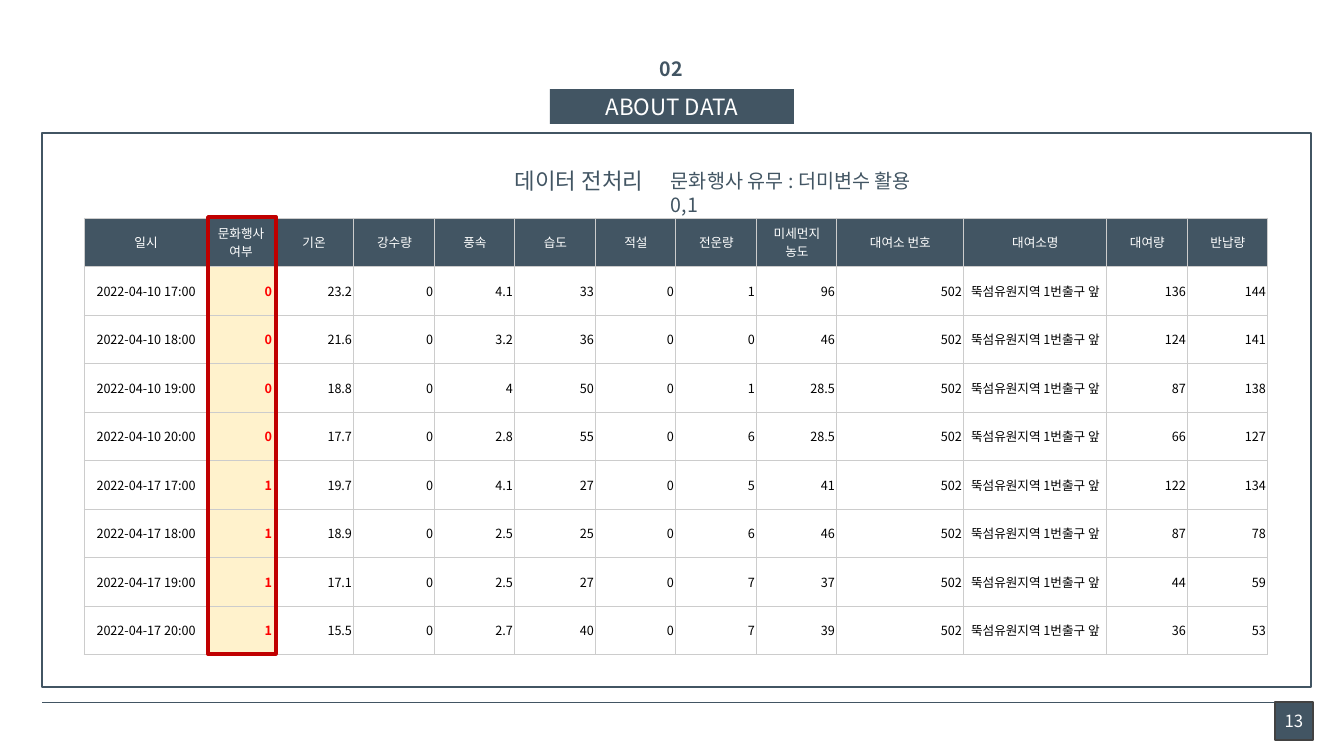
from lxml.etree import SubElement
from pptx import Presentation
from pptx.dml.color import RGBColor
from pptx.enum.shapes import MSO_CONNECTOR, MSO_SHAPE
from pptx.enum.text import MSO_ANCHOR as Anchor, MSO_AUTO_SIZE as AutoSize, PP_ALIGN as Align
from pptx.oxml.ns import qn
from pptx.util import Pt

FONT = "Noto Sans CJK KR"
SLATE = RGBColor(0x42, 0x55, 0x63)
CHARCOAL = RGBColor(0x42, 0x42, 0x42)
GRID = RGBColor(0xCC, 0xCC, 0xCC)
CREAM = RGBColor(0xFF, 0xF2, 0xCC)
RED = RGBColor(0xFF, 0x00, 0x00)
DARK_RED = RGBColor(0xC0, 0x00, 0x00)
WHITE = RGBColor(0xFF, 0xFF, 0xFF)
BLACK = RGBColor(0x00, 0x00, 0x00)

TITLE = "ABOUT DATA"
PAGE_NUMBER = "13"
LABELS = [
    ("02", (527, 52, 288, 34), 14, Align.CENTER, True),
    ("데이터 전처리", (505, 162, 177, 38), 16, Align.LEFT, False),
    ("문화행사 유무 : 더미변수 활용 0,1", (661, 164, 286, 34), 14, Align.LEFT, False),
]
HEADERS = ["일시", "문화행사\n여부", "기온", "강수량", "풍속", "습도", "적설", "전운량",
           "미세먼지\n농도", "대여소 번호", "대여소명", "대여량", "반납량"]
STATION = ("502", "뚝섬유원지역 1번출구 앞")
READINGS = [
    ("2022-04-10 17:00", "0", "23.2", "0", "4.1", "33", "0", "1", "96", *STATION, "136", "144"),
    ("2022-04-10 18:00", "0", "21.6", "0", "3.2", "36", "0", "0", "46", *STATION, "124", "141"),
    ("2022-04-10 19:00", "0", "18.8", "0", "4", "50", "0", "1", "28.5", *STATION, "87", "138"),
    ("2022-04-10 20:00", "0", "17.7", "0", "2.8", "55", "0", "6", "28.5", *STATION, "66", "127"),
    ("2022-04-17 17:00", "1", "19.7", "0", "4.1", "27", "0", "5", "41", *STATION, "122", "134"),
    ("2022-04-17 18:00", "1", "18.9", "0", "2.5", "25", "0", "6", "46", *STATION, "87", "78"),
    ("2022-04-17 19:00", "1", "17.1", "0", "2.5", "27", "0", "7", "37", *STATION, "44", "59"),
    ("2022-04-17 20:00", "1", "15.5", "0", "2.7", "40", "0", "7", "39", *STATION, "36", "53"),
]
COLUMN_EDGES = [84, 208, 274, 354, 435, 515, 596, 676, 757, 837, 964, 1107, 1188, 1268]
TABLE_TOP, TABLE_HEIGHT = 218, 437
EVENT_COLUMN = 1
CENTERED_COLUMNS = (0, HEADERS.index("대여소명"))


def px(length):
    """Turn slide pixels into EMU."""
    return round(length * 914400 / 100.8)


def write(text_frame, text, size, color, align=Align.CENTER, bold=False):
    """Put uniformly formatted text into a frame."""
    text_frame.text = text
    for paragraph in text_frame.paragraphs:
        paragraph.alignment = align
        font = paragraph.font
        font.name, font.size, font.bold = FONT, Pt(size), bold
        font.color.rgb = color
        defaults = paragraph._p.pPr.find(qn("a:defRPr"))
        SubElement(defaults, qn("a:ea"), typeface=FONT)


def add_box(slide, box, fill=None, line=None, width=1):
    """Add a rectangle with an optional fill and outline."""
    shape = slide.shapes.add_shape(MSO_SHAPE.RECTANGLE, *map(px, box))
    shape.shadow.inherit = False
    if fill is None:
        shape.fill.background()
    else:
        shape.fill.solid()
        shape.fill.fore_color.rgb = fill
    shape.line.color.rgb = line
    shape.line.width = Pt(width)
    return shape


def add_title(slide):
    """Format the title placeholder as a filled banner."""
    title = slide.shapes.title
    title.left, title.top, title.width, title.height = map(px, (550, 89, 244, 35))
    title.fill.solid()
    title.fill.fore_color.rgb = SLATE
    title.text_frame.auto_size = AutoSize.NONE
    title.text_frame.vertical_anchor = Anchor.MIDDLE
    write(title.text_frame, TITLE, 16, WHITE)


def add_label(slide, text, box, size, align, bold):
    """Add a wrapped text box."""
    text_frame = slide.shapes.add_textbox(*map(px, box)).text_frame
    text_frame.word_wrap = True
    write(text_frame, text, size, SLATE, align, bold)


def cell_style(row, column):
    """Return fill, text colour, alignment and weight for a cell."""
    if row == 0:
        return SLATE, WHITE, Align.CENTER, False
    if column == EVENT_COLUMN:
        return CREAM, RED, Align.RIGHT, True
    align = Align.CENTER if column in CENTERED_COLUMNS else Align.RIGHT
    return WHITE, BLACK, align, False


def add_borders(cell):
    """Draw a thin grid line on every side of a cell."""
    properties = cell._tc.get_or_add_tcPr()
    for side in ("lnL", "lnR", "lnT", "lnB"):
        border = SubElement(properties, qn(f"a:{side}"), w=str(Pt(0.75)))
        fill = SubElement(border, qn("a:solidFill"))
        SubElement(fill, qn("a:srgbClr"), val=str(GRID))


def add_readings_table(slide):
    """Add the table of weather and rental readings."""
    rows = [HEADERS, *READINGS]
    left, right = COLUMN_EDGES[0], COLUMN_EDGES[-1]
    box = (left, TABLE_TOP, right - left, TABLE_HEIGHT)
    table = slide.shapes.add_table(len(rows), len(HEADERS), *map(px, box)).table
    for column, start, end in zip(table.columns, COLUMN_EDGES, COLUMN_EDGES[1:]):
        column.width = px(end - start)
    for row, values in enumerate(rows):
        for column, value in enumerate(values):
            cell = table.cell(row, column)
            fill, color, align, bold = cell_style(row, column)
            add_borders(cell)
            cell.fill.solid()
            cell.fill.fore_color.rgb = fill
            cell.vertical_anchor = Anchor.MIDDLE
            cell.margin_left = cell.margin_right = px(2)
            cell.margin_top = cell.margin_bottom = px(2)
            write(cell.text_frame, value, 9, color, align, bold)


def main():
    """Build and save the slide."""
    presentation = Presentation()
    presentation.slide_width, presentation.slide_height = px(1344), px(756)
    slide = presentation.slides.add_slide(presentation.slide_layouts[5])
    add_title(slide)
    footer_line = slide.shapes.add_connector(
        MSO_CONNECTOR.STRAIGHT, *map(px, (1311, 702, 42, 702)))
    footer_line.line.color.rgb = SLATE
    footer_line.line.width = Pt(0.5)
    SubElement(footer_line._element.spPr, qn("a:effectLst"))
    add_box(slide, (42, 133, 1269, 554), line=SLATE)
    add_readings_table(slide)
    add_box(slide, (208, TABLE_TOP - 1, 68, TABLE_HEIGHT), line=DARK_RED, width=2.5)
    page_box = add_box(slide, (1275, 702, 38, 38), fill=SLATE, line=CHARCOAL)
    page_box.text_frame.vertical_anchor = Anchor.MIDDLE
    page_box.text_frame.word_wrap = False
    write(page_box.text_frame, PAGE_NUMBER, 12, WHITE)
    for label in LABELS:
        add_label(slide, *label)
    presentation.save("out.pptx")


if __name__ == "__main__":
    main()
